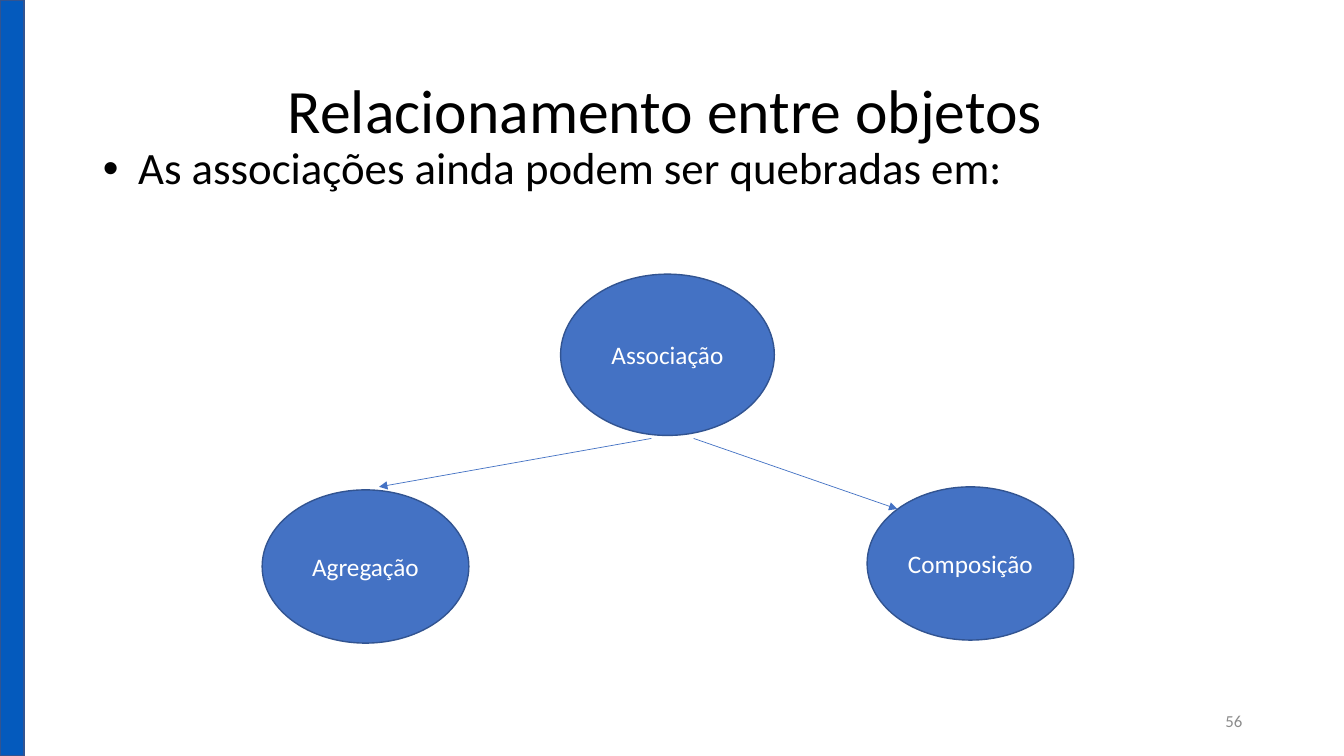
from lxml.etree import SubElement
from pptx import Presentation
from pptx.dml.color import RGBColor
from pptx.enum.shapes import MSO_CONNECTOR, MSO_SHAPE
from pptx.enum.text import MSO_ANCHOR, MSO_AUTO_SIZE, PP_ALIGN
from pptx.oxml.ns import qn
from pptx.util import Inches, Pt

HUES = {"bar": "045ABD", "node": "4472C4", "edge": "325491",
        "text": "000000", "page": "8C8C8C", "label": "FFFFFF"}


def write(shape, text, size, hue, align, anchor=MSO_ANCHOR.MIDDLE):
    """Put one styled paragraph in the shape and return it."""
    frame = shape.text_frame
    frame.text = text
    frame.word_wrap = True
    frame.auto_size = MSO_AUTO_SIZE.NONE
    frame.vertical_anchor = anchor
    para = frame.paragraphs[0]
    para.alignment = align
    para.space_before = Pt(0)
    para.font.name = "Calibri"
    para.font.size = Pt(size)
    para.font.color.rgb = RGBColor.from_string(HUES[hue])
    return para


def draw(kind, box, fill):
    """Add a filled shape with a thin dark outline."""
    shape = slide.shapes.add_shape(kind, *map(Inches, box))
    shape.shadow.inherit = False
    shape.fill.solid()
    shape.fill.fore_color.rgb = RGBColor.from_string(HUES[fill])
    shape.line.color.rgb = RGBColor.from_string(HUES["edge"])
    shape.line.width = Pt(1)
    return shape


deck = Presentation()
deck.slide_width, deck.slide_height = Inches(13.33), Inches(7.5)
slide = deck.slides.add_slide(deck.slide_layouts[1])

# Title and list
title, body = slide.placeholders
for holder, top, height in ((title, 0.4, 1.45), (body, 1.4, 4.95)):
    holder.left, holder.top = Inches(0.92), Inches(top)
    holder.width, holder.height = Inches(11.5), Inches(height)

para = write(title, "Relacionamento entre objetos", 44, "text", PP_ALIGN.CENTER)
para.line_spacing = 0.9
title.text_frame.margin_right = Inches(0.24)

para = write(body, "As associações ainda podem ser quebradas em:", 32, "text",
             PP_ALIGN.LEFT, MSO_ANCHOR.TOP)
para.line_spacing = 0.9
props = para._p.get_or_add_pPr()
props.set("marL", str(Inches(0.35)))
props.set("indent", str(-Inches(0.35)))
bullet = props.makeelement(qn("a:buChar"), {"char": "•"})
props.find(qn("a:defRPr")).addprevious(bullet)

# Side bar and page number
draw(MSO_SHAPE.RECTANGLE, (0, 0, 0.24, 7.5), "bar")
page = slide.shapes.add_textbox(Inches(9.42), Inches(6.95), Inches(3), Inches(0.4))
write(page, "56", 12, "page", PP_ALIGN.RIGHT)

# Diagram
nodes = (("Associação", (5.56, 2.72, 2.12, 1.6)),
         ("Agregação", (2.6, 4.86, 2.05, 1.52)),
         ("Composição", (8.6, 4.83, 2.05, 1.52)))
for label, box in nodes:
    write(draw(MSO_SHAPE.OVAL, box, "node"), label, 18, "label", PP_ALIGN.CENTER)

for ends in ((6.46, 4.35, 3.76, 4.83), (6.88, 4.35, 8.9, 5.05)):
    arrow = slide.shapes.add_connector(MSO_CONNECTOR.STRAIGHT, *map(Inches, ends))
    arrow.line.color.rgb = RGBColor.from_string(HUES["node"])
    arrow.line.width = Pt(0.5)
    SubElement(arrow.line._get_or_add_ln(), qn("a:tailEnd"), type="triangle")
    SubElement(arrow._element.spPr, qn("a:effectLst"))

deck.save("out.pptx")
